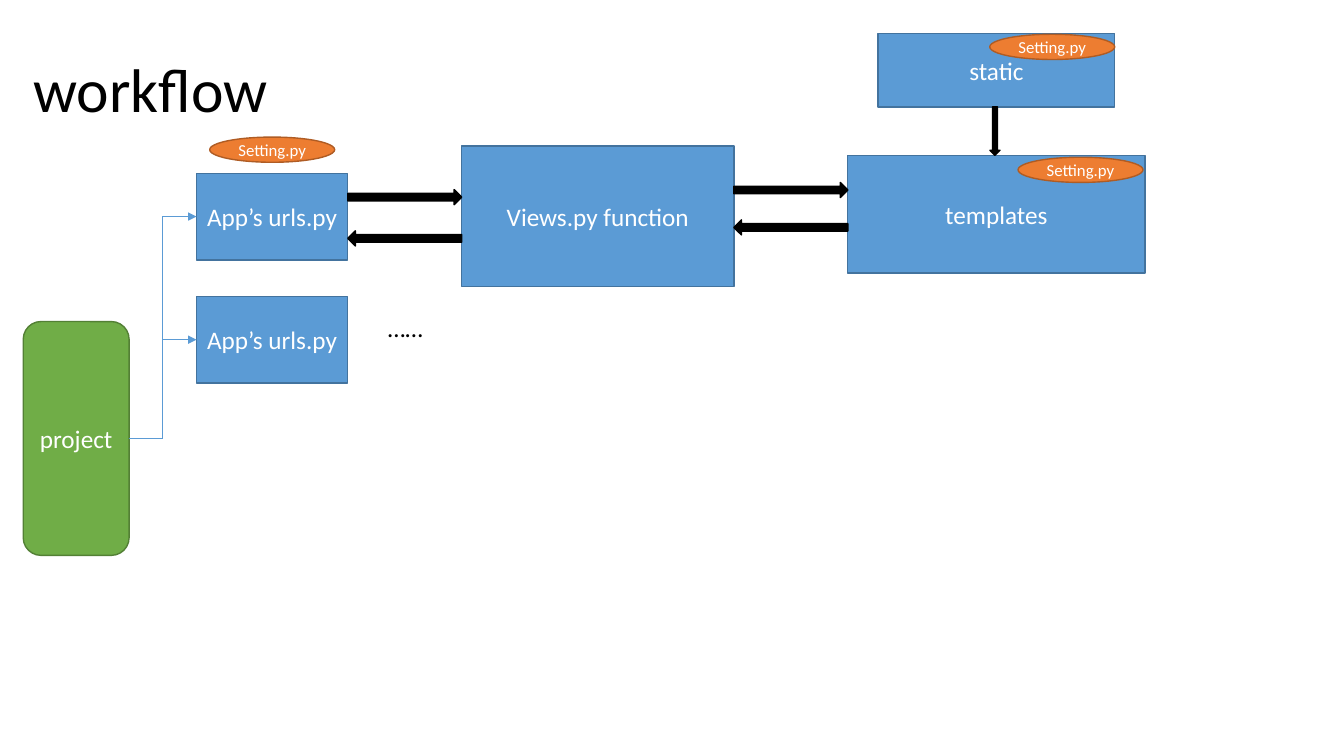
from dataclasses import dataclass

from lxml import etree
from pptx import Presentation
from pptx import util as u
from pptx.dml.color import RGBColor
from pptx.enum import shapes, text
from pptx.oxml import ns
from pptx.shapes.autoshape import Shape
from pptx.slide import Slide

FONT = "Calibri"
COLORS = {
    "blue": "5B9BD5",
    "blue_edge": "43739E",
    "green": "70AD47",
    "green_edge": "538035",
    "orange": "ED7D31",
    "orange_edge": "AF5C24",
    "black": "000000",
    "white": "FFFFFF",
}
RECTANGLE = shapes.MSO_SHAPE.RECTANGLE
ROUNDED = shapes.MSO_SHAPE.ROUNDED_RECTANGLE
OVAL = shapes.MSO_SHAPE.OVAL
LEFT_SITE, RIGHT_SITE = 1, 3


@dataclass(frozen=True)
class Node:
    label: str
    left: float
    top: float
    width: float
    height: float
    color: str = "blue"
    kind: shapes.MSO_SHAPE = RECTANGLE
    size: float = 18


@dataclass(frozen=True)
class Arrow:
    left: float
    top: float
    rotation: float = 0
    length: float = 81.4
    thickness: float = 10.8


@dataclass(frozen=True)
class Caption:
    label: str
    left: float
    top: float
    width: float
    height: float
    size: float
    anchor: text.MSO_ANCHOR
    wrap: bool
    line_spacing: float


PROJECT = Node("project", 16.6, 229.7, 75.6, 167, "green", ROUNDED)
APPS = [Node("App’s urls.py", 140.4, top, 108, 61.9) for top in (123.8, 211.7)]
STAGES = [
    Node("Views.py function", 329.8, 104.4, 194.4, 100.1),
    Node("templates", 605.5, 110.9, 212.4, 84.2),
    Node("static", 627.1, 23.8, 169.2, 52.6),
]
SETTINGS = [
    Node("Setting.py", left, top, 89.3, 18, "orange", OVAL, 12)
    for left, top in ((149.8, 97.9), (727.2, 112.3), (707, 24.5))
]
ARROWS = [
    Arrow(248.4, 135.4),
    Arrow(248.4, 164.9, 180),
    Arrow(524.2, 130.3),
    Arrow(524.2, 157, 180),
    Arrow(693.4, 90, 90, 34.6, 7.2),
]
CAPTIONS = [
    Caption("workflow", 16.6, 13.7, 828, 104.4, 44, text.MSO_ANCHOR.MIDDLE, True, 0.9),
    Caption("……", 270, 219.6, 40.3, 28.8, 18, text.MSO_ANCHOR.TOP, False, 1),
]


def rgb(name: str) -> RGBColor:
    return RGBColor.from_string(COLORS[name])


def paint(shape: Shape, fill: str, edge: str) -> None:
    shape.shadow.inherit = False
    shape.fill.solid()
    shape.fill.fore_color.rgb = rgb(fill)
    shape.line.color.rgb = rgb(edge)
    shape.line.width = u.Pt(1)


def write(shape: Shape, label: str, size: float, color: str, align: text.PP_ALIGN) -> None:
    paragraph = shape.text_frame.paragraphs[0]
    paragraph.text = label
    paragraph.alignment = align
    paragraph.font.name = FONT
    paragraph.font.size = u.Pt(size)
    paragraph.font.color.rgb = rgb(color)


def draw_node(slide: Slide, node: Node) -> Shape:
    shape = slide.shapes.add_shape(
        node.kind, u.Pt(node.left), u.Pt(node.top), u.Pt(node.width), u.Pt(node.height)
    )
    paint(shape, node.color, f"{node.color}_edge")
    frame = shape.text_frame
    frame.word_wrap = False
    frame.vertical_anchor = text.MSO_ANCHOR.MIDDLE
    frame.margin_left = frame.margin_right = u.Pt(0)
    frame.margin_top = frame.margin_bottom = u.Pt(0)
    write(shape, node.label, node.size, "white", text.PP_ALIGN.CENTER)
    return shape


def draw_arrow(slide: Slide, arrow: Arrow) -> None:
    shape = slide.shapes.add_shape(
        shapes.MSO_SHAPE.RIGHT_ARROW,
        u.Pt(arrow.left), u.Pt(arrow.top), u.Pt(arrow.length), u.Pt(arrow.thickness),
    )
    shape.rotation = arrow.rotation
    paint(shape, "black", "black")


def draw_caption(slide: Slide, caption: Caption) -> None:
    shape = slide.shapes.add_textbox(
        u.Pt(caption.left), u.Pt(caption.top), u.Pt(caption.width), u.Pt(caption.height)
    )
    shape.text_frame.word_wrap = caption.wrap
    shape.text_frame.vertical_anchor = caption.anchor
    write(shape, caption.label, caption.size, "black", text.PP_ALIGN.LEFT)
    shape.text_frame.paragraphs[0].line_spacing = caption.line_spacing


def link(slide: Slide, source: Shape, target: Shape) -> None:
    connector = slide.shapes.add_connector(
        shapes.MSO_CONNECTOR.ELBOW,
        source.left + source.width, source.top + source.height // 2,
        target.left, target.top + target.height // 2,
    )
    connector.begin_connect(source, RIGHT_SITE)
    connector.end_connect(target, LEFT_SITE)
    connector.line.color.rgb = rgb("blue")
    connector.line.width = u.Pt(0.5)
    etree.SubElement(connector.line._get_or_add_ln(), ns.qn("a:tailEnd"), type="triangle")
    etree.SubElement(connector._element.spPr, ns.qn("a:effectLst"))


def main() -> None:
    presentation = Presentation()
    presentation.slide_width = u.Pt(960)
    presentation.slide_height = u.Pt(540)
    slide = presentation.slides.add_slide(presentation.slide_layouts[6])

    project = draw_node(slide, PROJECT)
    for app in APPS:
        link(slide, project, draw_node(slide, app))
    for stage in STAGES:
        draw_node(slide, stage)
    for arrow in ARROWS:
        draw_arrow(slide, arrow)
    for setting in SETTINGS:
        draw_node(slide, setting)
    for caption in CAPTIONS:
        draw_caption(slide, caption)

    presentation.save("out.pptx")


if __name__ == "__main__":
    main()
